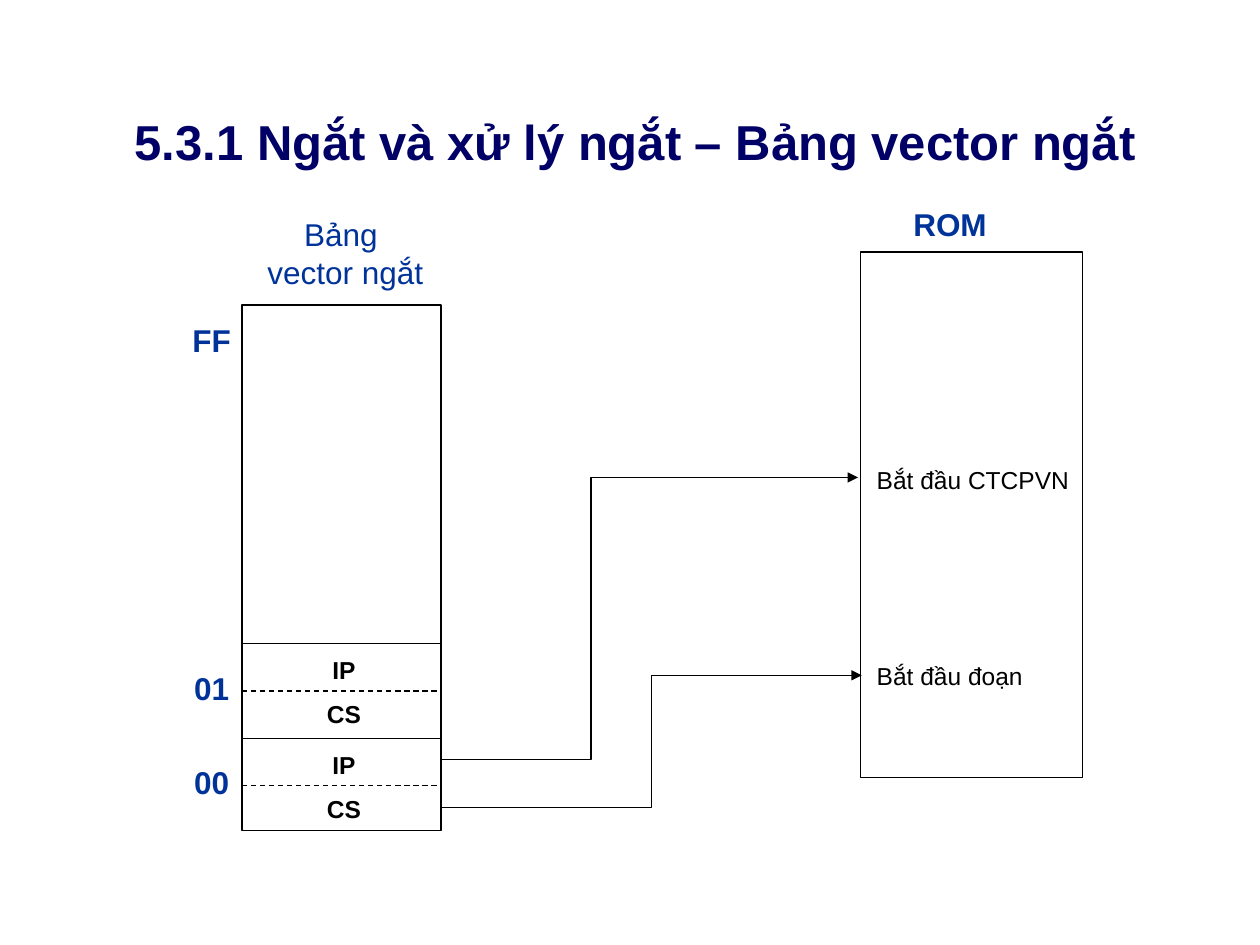
from pptx import Presentation
from pptx.dml.color import RGBColor
from pptx.enum.dml import MSO_LINE
from pptx.enum.shapes import MSO_CONNECTOR, MSO_SHAPE
from pptx.enum.text import MSO_ANCHOR, PP_ALIGN
from pptx.oxml.ns import qn
from pptx.util import Inches, Pt
from lxml.etree import SubElement

NAVY, BLUE, BLACK = "000066", "003399", "000000"


def rgb(value):
    return RGBColor.from_string(value)


def format_text(tf, size, color, bold, align):
    for p in tf.paragraphs:
        p.alignment = align
        for r in p.runs:
            r.font.name = "Arial"
            r.font.size = Pt(size)
            r.font.bold = bold
            r.font.color.rgb = rgb(color)


def add_text(slide, text, x, y, w, h, size=14, color=BLACK, bold=True,
             align=PP_ALIGN.CENTER):
    tf = slide.shapes.add_textbox(
        Inches(x), Inches(y), Inches(w), Inches(h)).text_frame
    tf.word_wrap = True
    tf.text = text
    format_text(tf, size, color, bold, align)


def add_frame(slide, x, y, w, h):
    s = slide.shapes.add_shape(
        MSO_SHAPE.RECTANGLE, Inches(x), Inches(y), Inches(w), Inches(h))
    s.shadow.inherit = False
    s.fill.background()
    s.line.color.rgb = rgb(BLACK)
    s.line.width = Pt(0.75)


def add_line(slide, x1, y1, x2, y2, kind=MSO_CONNECTOR.STRAIGHT):
    c = slide.shapes.add_connector(
        kind, Inches(x1), Inches(y1), Inches(x2), Inches(y2))
    c.line.color.rgb = rgb(BLACK)
    c.line.width = Pt(0.75)
    SubElement(c._element.spPr, qn("a:effectLst"))
    return c


def add_bent_arrow(slide, x1, y1, x2, y2, bend):
    """Elbow arrow that turns at the fraction bend of its width."""
    c = add_line(slide, x1, y1, x2, y2, MSO_CONNECTOR.ELBOW)
    guides = c._element.spPr.find(qn("a:prstGeom")).get_or_add_avLst()
    SubElement(guides, qn("a:gd"), name="adj1",
               fmla=f"val {round(bend * 100000)}")
    SubElement(c.line._get_or_add_ln(), qn("a:tailEnd"), type="triangle")


def add_title(slide, text, x, y, w, h):
    sp = slide.shapes.title
    sp.left, sp.top, sp.width, sp.height = map(Inches, (x, y, w, h))
    tf = sp.text_frame
    tf.text = text
    tf.vertical_anchor = MSO_ANCHOR.MIDDLE
    format_text(tf, 28, NAVY, True, PP_ALIGN.CENTER)


def add_vector_table(slide, x, y, w, h):
    """Interrupt vector table: two entries of IP and CS at the bottom."""
    add_frame(slide, x, y, w, h)
    add_text(slide, "Bảng \vvector ngắt", x - 0.14, y - 0.76, 1.92, 0.7,
             18, BLUE, False)
    entry_h = 0.75
    for number, top in (("00", y + 3.44), ("01", y + 3.44 - entry_h)):
        add_line(slide, x, top, x + w, top)
        middle = add_line(slide, x, top + entry_h / 2, x + w, top + entry_h / 2)
        middle.line.dash_style = MSO_LINE.DASH
        for register, dy in (("IP", 0.04), ("CS", 0.39)):
            add_text(slide, register, x + 0.55, top + dy, 0.52, 0.33)
        add_text(slide, number, x - 0.5, top + 0.15, 0.52, 0.4, 18, BLUE)
    add_text(slide, "FF", x - 0.5, y + 0.08, 0.52, 0.4, 18, BLUE)


def add_rom(slide, x, y, w, h):
    add_frame(slide, x, y, w, h)
    add_text(slide, "ROM", x + 0.25, y - 0.42, 0.92, 0.4, 18, BLUE)
    for label, dy in (("Bắt đầu CTCPVN", 1.64), ("Bắt đầu đoạn", 3.2)):
        add_text(slide, label, x + 0.03, y + dy, 1.96, 0.33,
                 bold=False, align=PP_ALIGN.LEFT)


def main():
    prs = Presentation()
    prs.slide_width, prs.slide_height = Inches(10), Inches(7.5)
    slide = prs.slides.add_slide(prs.slide_layouts[5])
    add_title(slide, "5.3.1 Ngắt và xử lý ngắt – Bảng vector ngắt",
              0.25, 0.83, 9.58, 0.57)
    add_vector_table(slide, 1.92, 2.42, 1.58, 4.17)
    add_rom(slide, 6.83, 2, 1.76, 4.17)
    add_bent_arrow(slide, 3.5, 6.41, 6.84, 5.36, 0.5)
    add_bent_arrow(slide, 3.5, 6.03, 6.81, 3.79, 0.36)
    prs.save("out.pptx")


if __name__ == "__main__":
    main()
